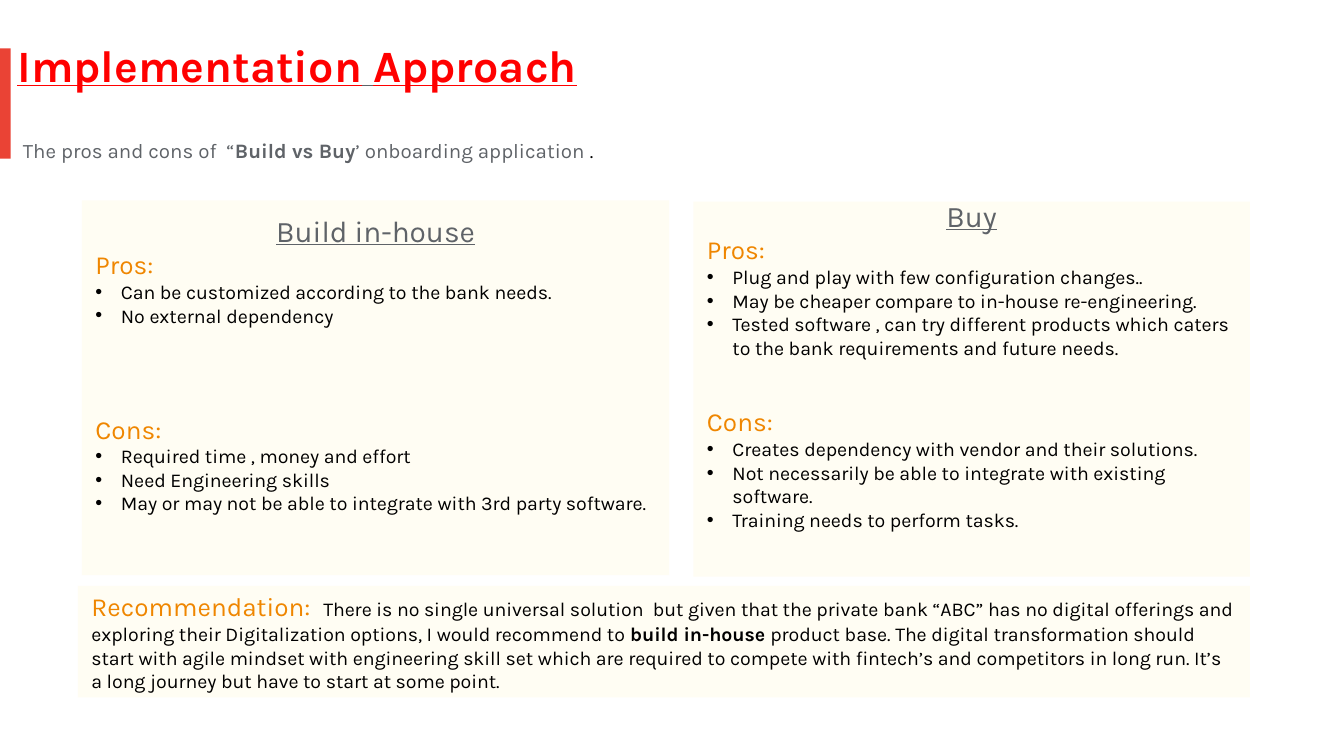
from pptx import Presentation
from pptx.dml.color import RGBColor
from pptx.enum.shapes import MSO_SHAPE
from pptx.enum.text import MSO_ANCHOR, MSO_AUTO_SIZE, PP_ALIGN
from pptx.oxml.ns import qn
from pptx.util import Inches, Pt
from lxml import etree

RECTANGLE = MSO_SHAPE.RECTANGLE
TOP, MIDDLE = MSO_ANCHOR.TOP, MSO_ANCHOR.MIDDLE
LEFT, CENTER = PP_ALIGN.LEFT, PP_ALIGN.CENTER
NO_AUTOFIT = MSO_AUTO_SIZE.NONE

RED = RGBColor(0xFF, 0x00, 0x00)
ACCENT = RGBColor(0xEA, 0x43, 0x35)
GRAY = RGBColor(0x5F, 0x63, 0x68)
ORANGE = RGBColor(0xEF, 0x86, 0x00)
BLACK = RGBColor(0x00, 0x00, 0x00)
CREAM = RGBColor(0xFF, 0xFD, 0xF3)

COMPARISON_LAYOUT = 4
TITLE, SUBTITLE, BUILD, RECOMMENDATION, BUY = range(5)
COLUMNS = 100
BULLET_INDENT = 1.9


def text_format(size, color, bold=False, underline=False, name="Karla"):
    font = {"name": name, "size": Pt(size), "bold": bold, "underline": underline}
    return font, color


FORMATS = {
    "title": text_format(24, RED, bold=True, underline=True),
    "title gap": text_format(24, GRAY, bold=True, underline=True),
    "lead": text_format(14, GRAY, name="Open Sans"),
    "subtitle": text_format(11, GRAY),
    "subtitle strong": text_format(11, GRAY, bold=True),
    "panel heading": text_format(16, GRAY, underline=True),
    "label": text_format(14, ORANGE),
    "body": text_format(10.5, BLACK),
    "strong": text_format(10.5, BLACK, bold=True),
}


class SlideBuilder:
    """Places elements on a grid of square cells, COLUMNS across the slide."""

    def __init__(self, presentation):
        self.cell = presentation.slide_width / COLUMNS
        layout = presentation.slide_layouts[COMPARISON_LAYOUT]
        self.slide = presentation.slides.add_slide(layout)

    def length(self, cells):
        return int(cells * self.cell)

    def bar(self, box, color):
        bar = self.slide.shapes.add_shape(RECTANGLE, *map(self.length, box))
        bar.shadow.inherit = False
        bar.fill.solid()
        bar.fill.fore_color.rgb = color
        bar.line.fill.background()

    def area(self, slot, box, insets=(1, 1, 1, 1), anchor=TOP, fill=None):
        """Move a placeholder to the box and return its text frame."""
        area = self.slide.placeholders[slot]
        area.left, area.top, area.width, area.height = map(self.length, box)
        if fill is not None:
            area.fill.solid()
            area.fill.fore_color.rgb = fill
        frame = area.text_frame
        sides = ("margin_left", "margin_top", "margin_right", "margin_bottom")
        settings = dict(zip(sides, map(self.length, insets)))
        settings.update(word_wrap=True, auto_size=NO_AUTOFIT, vertical_anchor=anchor)
        for attribute, value in settings.items():
            setattr(frame, attribute, value)
        return frame

    def paragraph(self, frame, runs, align=LEFT, before=0, spacing=1.0, bullet=False):
        paragraph = frame.paragraphs[0]
        if paragraph.runs:
            paragraph = frame.add_paragraph()
        settings = {"alignment": align, "space_before": Pt(before),
                    "space_after": Pt(0), "line_spacing": spacing}
        for attribute, value in settings.items():
            setattr(paragraph, attribute, value)
        self.mark(paragraph, bullet)
        for text, style in runs:
            run = paragraph.add_run()
            run.text = text
            font, color = FORMATS[style]
            for attribute, value in font.items():
                setattr(run.font, attribute, value)
            run.font.color.rgb = color

    def mark(self, paragraph, bullet):
        """Give the paragraph a black hanging bullet, or none at all."""
        properties = paragraph._p.get_or_add_pPr()
        indent = self.length(BULLET_INDENT) if bullet else 0
        properties.set("marL", str(indent))
        properties.set("indent", str(-indent))
        if bullet:
            bullet_color = etree.SubElement(properties, qn("a:buClr"))
            etree.SubElement(bullet_color, qn("a:srgbClr"), val=str(BLACK))
            etree.SubElement(properties, qn("a:buFont"), typeface="Arial")
            etree.SubElement(properties, qn("a:buChar"), char="•")
        else:
            etree.SubElement(properties, qn("a:buNone"))

    def option_panel(self, slot, box, top_inset, heading, pros, cons, gap):
        frame = self.area(slot, box, (1, top_inset, 1, 0), fill=CREAM)
        self.paragraph(frame, [(heading, "panel heading")], align=CENTER, spacing=0.9)
        for label, points, before in (("Pros:", pros, 0), ("Cons:", cons, gap)):
            self.paragraph(frame, [(label, "label")], before=before)
            for point in points:
                self.paragraph(frame, [(point, "body")], bullet=True)


def main():
    presentation = Presentation()
    presentation.slide_width = Inches(10)
    presentation.slide_height = presentation.slide_width * 9 // 16
    builder = SlideBuilder(presentation)
    builder.bar((0, 3.6, 0.8, 8.2), ACCENT)

    title = builder.area(TITLE, (1.3, 1.8, 67.3, 6.1), (0, 1, 1, 1))
    builder.paragraph(title, [("Implementation", "title"), (" ", "title gap"),
                              ("Approach", "title")])

    subtitle = builder.area(SUBTITLE, (1.2, 8.5, 86.1, 4.7), (0, 1, 1, 1))
    builder.paragraph(subtitle, [
        (" ", "lead"),
        ("The pros and cons of  “", "subtitle"),
        ("Build vs Buy", "subtitle strong"),
        ("’ onboarding application ", "subtitle"),
        (".", "body"),
    ], spacing=1.15)

    builder.option_panel(
        BUILD, (6.1, 14.9, 43.7, 27.9), 1.2, "Build in-house",
        pros=["Can be customized according to the bank needs.",
              "No external dependency"],
        cons=["Required time , money and effort",
              "Need Engineering skills",
              "May or may not be able to integrate with 3rd party software."],
        gap=46)
    builder.option_panel(
        BUY, (51.6, 15, 41.4, 27.9), 0, "Buy",
        pros=["Plug and play with few configuration changes..",
              "May be cheaper compare to in-house re-engineering.",
              "Tested software , can try different products which caters "
              "to the bank requirements and future needs."],
        cons=["Creates dependency with vendor and their solutions.",
              "Not necessarily be able to integrate with existing software.",
              "Training needs to perform tasks."],
        gap=25)

    recommendation = builder.area(RECOMMENDATION, (5.8, 43.6, 87.2, 8.3),
                                  anchor=MIDDLE, fill=CREAM)
    builder.paragraph(recommendation, [
        ("Recommendation:  ", "label"),
        ("There is no single universal solution  but given that the private bank "
         "“ABC” has no digital offerings and exploring their Digitalization "
         "options, I would recommend to ", "body"),
        ("build in-house ", "strong"),
        ("product base. The digital transformation should start with agile mindset "
         "with engineering skill set which are required to compete with fintech’s "
         "and competitors in long run. It’s a long journey but have to start at "
         "some point.", "body"),
    ])
    presentation.save("out.pptx")


if __name__ == "__main__":
    main()
